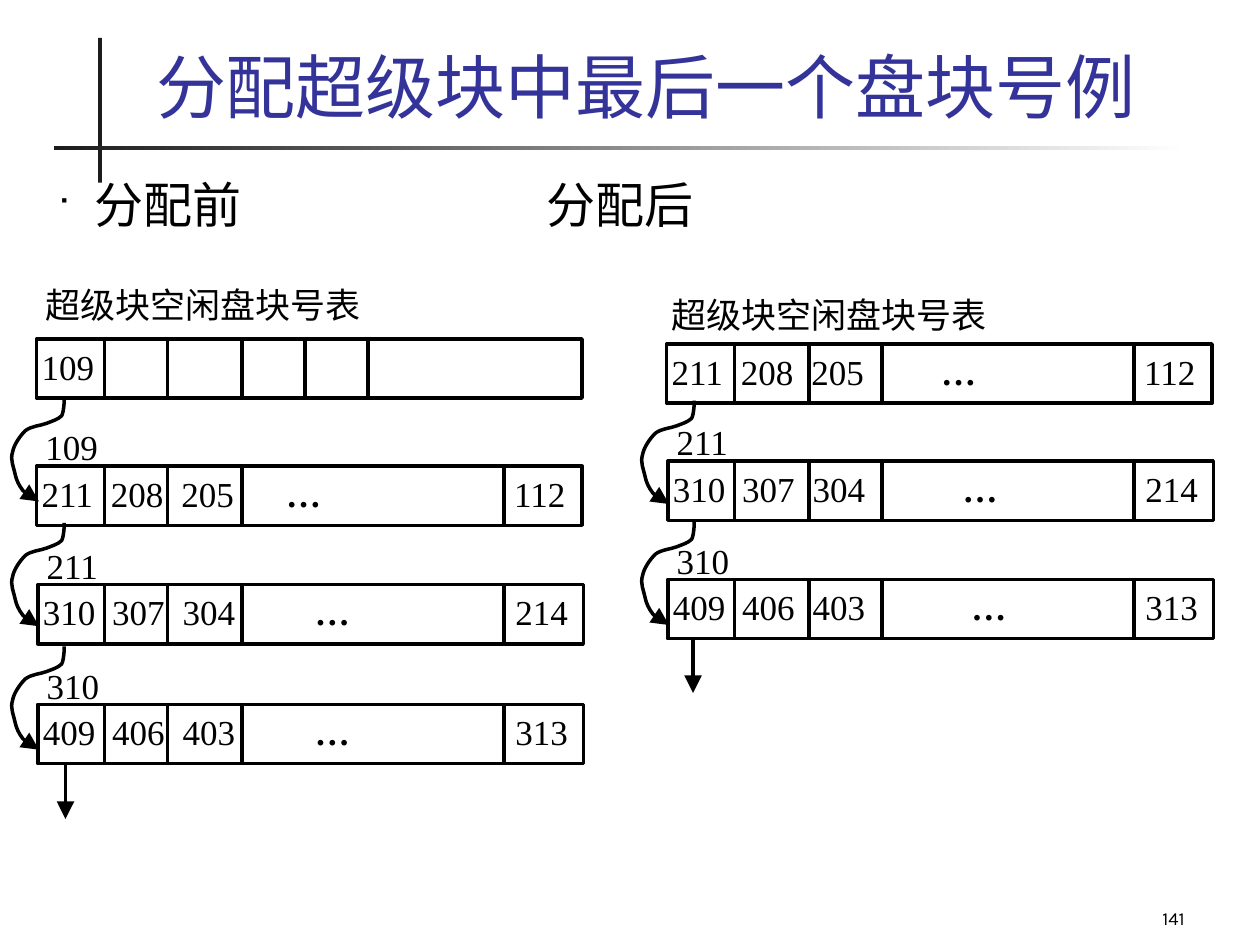
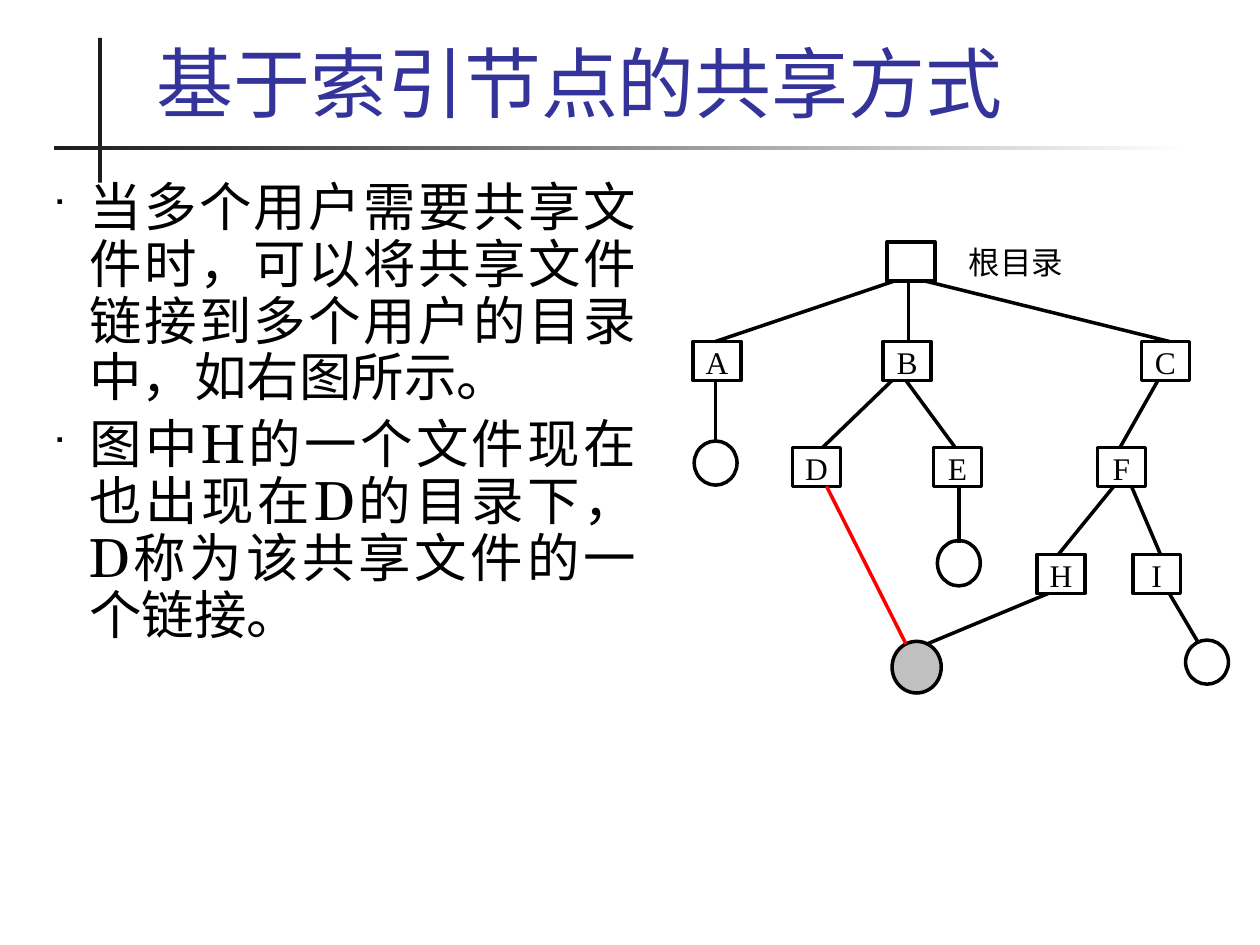
from lxml.etree import SubElement
from pptx import Presentation
from pptx.dml.color import RGBColor
from pptx.enum.shapes import MSO_CONNECTOR, MSO_SHAPE
from pptx.enum.text import MSO_ANCHOR, PP_ALIGN
from pptx.oxml.ns import qn
from pptx.util import Inches, Pt

# Shared style
BLACK, WHITE, DARK, BLUE, RED, GRAY = (
    "000000", "FFFFFF", "1C1C1C", "333399", "FF0000", "C0C0C0")
HEAD, SERIF, SANS = "TeX Gyre Schola", "Times New Roman", "Karla"
LEFT, MID, RIGHT, JUST = (
    PP_ALIGN.LEFT, PP_ALIGN.CENTER, PP_ALIGN.RIGHT, PP_ALIGN.JUSTIFY)
PAD = (0.1, 0.05)
NONE = (0, 0)

# Slide 1: free block chains before and after
ALLOC = "分配超级块中最后一个盘块号例"
TABLE = "超级块空闲盘块号表"
ROW_W, ROW_H = 4.33, 0.47
# Tab stops of the numbers in a row, measured from the row's text edge
STOPS = (0.55, 1.11, 3.75)
# A row: left, top, label above, numbers, place of the dots
CHAINS = [
    {"title": (0.36, 2.25), "cuts": (0.83, 1.33, 1.92, 4),
     "first": (0.83, 1.33, 1.92, 2.42, 2.92),
     "rows": [(0.29, 2.69, "", ["109"], 0),
              (0.29, 3.7, "109", ["211", "208", "205", "112"], 1.94),
              (0.3, 4.64, "211", ["310", "307", "304", "214"], 2.16),
              (0.3, 5.59, "310", ["409", "406", "403", "313"], 2.16)],
     "hooks": (0.08, [3.16, 4.15, 5.13]), "tail": (0.52, 6.06, 6.5)},
    {"title": (5.33, 2.33), "cuts": (5.83, 6.42, 7, 9),
     "first": (5.83, 6.42, 7, 9),
     "rows": [(5.29, 2.73, "", ["211", "208", "205", "112"], 2.14),
              (5.3, 3.66, "211", ["310", "307", "304", "214"], 2.3),
              (5.3, 4.6, "310", ["409", "406", "403", "313"], 2.37)],
     "hooks": (5.08, [3.18, 4.14]), "tail": (5.5, 5.07, 5.5)},
]
# Bezier knots of the hook between two rows
HOOK = [(0.43, 0),
        (0.43, 0.02), (0.43, 0.1), (0.41, 0.14),
        (0.38, 0.17), (0.34, 0.18), (0.29, 0.2),
        (0.24, 0.22), (0.17, 0.22), (0.12, 0.26),
        (0.08, 0.3), (0.03, 0.37), (0.02, 0.43),
        (0, 0.49), (0.03, 0.55), (0.04, 0.6),
        (0.05, 0.65), (0.07, 0.69), (0.1, 0.73),
        (0.13, 0.76), (0.2, 0.8), (0.23, 0.82)]

# Slide 2: shared file in a directory tree
SHARE = "基于索引节点的共享方式"
NOTES = ["当多个用户需要共享文件时，可以将共享文件链接到多个用户的目录中，如右图所示。",
         "图中H的一个文件现在也出现在D的目录下，D称为该共享文件的一个链接。"]
DIR_W, DIR_H = 0.38, 0.31
DIRS = {"": (7.04, 1.92), "A": (5.5, 2.71), "B": (7.01, 2.71),
        "C": (9.06, 2.71), "D": (6.29, 3.55), "E": (7.41, 3.55),
        "F": (8.71, 3.55), "H": (8.23, 4.4), "I": (8.99, 4.4)}
# A file: left, top, width, height, fill
FILES = {"a": (5.51, 3.5, 0.34, 0.35, WHITE),
         "e": (7.44, 4.29, 0.34, 0.36, WHITE),
         "h": (7.08, 5.09, 0.39, 0.41, GRAY),
         "i": (9.41, 5.08, 0.34, 0.35, WHITE)}
# A link: parent, child, offset from the left of each, colour
LINKS = [("", "A", 0.06, 0.18, BLACK), ("", "B", 0.17, 0.2, BLACK),
         ("", "C", 0.3, 0.22, BLACK), ("A", "a", 0.18, 0.17, BLACK),
         ("B", "D", 0.07, 0.24, BLACK), ("B", "E", 0.18, 0.17, BLACK),
         ("E", "e", 0.2, 0.17, BLACK), ("C", "F", 0.13, 0.18, BLACK),
         ("F", "H", 0.13, 0.17, BLACK), ("F", "I", 0.27, 0.22, BLACK),
         ("D", "h", 0.27, 0.11, RED), ("H", "h", 0.09, 0.28, BLACK),
         ("I", "i", 0.29, 0.1, BLACK)]


def color(code):
    return RGBColor.from_string(code)


def style(para, size, face=SERIF, code=BLACK, align=LEFT):
    para.alignment = align
    font = para.font
    font.size, font.name = Pt(size), face
    font.color.rgb = color(code)


def frame(shape, pad, anchor=MSO_ANCHOR.TOP):
    tf = shape.text_frame
    tf.word_wrap = True
    tf.vertical_anchor = anchor
    tf.margin_left = tf.margin_right = Inches(pad[0])
    tf.margin_top = tf.margin_bottom = Inches(pad[1])
    return tf


def text(slide, box, words, size, face=SERIF, code=BLACK, align=LEFT,
         pad=NONE, anchor=MSO_ANCHOR.TOP):
    tf = frame(slide.shapes.add_textbox(*map(Inches, box)), pad, anchor)
    para = tf.paragraphs[0]
    para.text = words
    style(para, size, face, code, align)
    return para


def bullets(slide, box, items, size, align=LEFT):
    tf = frame(slide.shapes.add_textbox(*map(Inches, box)), PAD)
    for i, item in enumerate(items):
        para = tf.add_paragraph() if i else tf.paragraphs[0]
        para.text = item
        prop = para._p.get_or_add_pPr()
        prop.set("marL", str(Inches(0.29)))
        prop.set("indent", str(Inches(-0.29)))
        tint = SubElement(prop, qn("a:buClr"))
        SubElement(tint, qn("a:srgbClr"), val=BLACK)
        SubElement(prop, qn("a:buSzPct"), val="60000")
        SubElement(prop, qn("a:buFont"), typeface="Wingdings")
        SubElement(prop, qn("a:buChar"), char="■")
        para.line_spacing = 0.9
        para.space_before = Pt(6 if i else 0)
        style(para, size, HEAD, BLACK, align)


def shape(slide, kind, box, fill, edge=True):
    part = slide.shapes.add_shape(kind, *map(Inches, box))
    part.shadow.inherit = False
    part.fill.solid()
    part.fill.fore_color.rgb = color(fill)
    if edge:
        pen(part)
    else:
        part.line.fill.background()
    return part


def pen(part, code=BLACK, arrow=False):
    part.line.color.rgb = color(code)
    part.line.width = Pt(2)
    if arrow:
        SubElement(part.line._get_or_add_ln(), qn("a:tailEnd"),
                   type="triangle", w="lg", len="lg")


def line(slide, x1, y1, x2, y2, code=BLACK, arrow=False):
    part = slide.shapes.add_connector(
        MSO_CONNECTOR.STRAIGHT, *map(Inches, (x1, y1, x2, y2)))
    pen(part, code, arrow)
    SubElement(part._element.spPr, qn("a:effectLst"))


def base(deck, title, size):
    slide = deck.slides.add_slide(deck.slide_layouts[6])
    # Crossed rules behind the title
    shape(slide, MSO_SHAPE.RECTANGLE, (0.78, 0.3, 0.03, 1.15), DARK, False)
    rule = shape(slide, MSO_SHAPE.RECTANGLE, (0.43, 1.16, 9, 0.03), DARK,
                 False)
    rule.fill.gradient()
    rule.fill.gradient_angle = 0
    for stop, code in zip(rule.fill.gradient_stops, (DARK, WHITE)):
        stop.color.rgb = color(code)
    text(slide, (1.14, 0.24, 8.59, 0.82), title, size, HEAD, BLUE,
         pad=PAD, anchor=MSO_ANCHOR.BOTTOM)
    return slide


def row(slide, x, y, label, nums, dots, cuts):
    box = shape(slide, MSO_SHAPE.RECTANGLE, (x, y, ROW_W, ROW_H), WHITE)
    para = frame(box, (0.04, 0.05)).paragraphs[0]
    if dots:
        tabs = SubElement(para._p.get_or_add_pPr(), qn("a:tabLst"))
        for stop in sorted((*STOPS, dots)):
            SubElement(tabs, qn("a:tab"), pos=str(Inches(stop)), algn="l")
        para.add_run().text = "\t".join(nums[:-1]) + "\t"
        mark = para.add_run()
        mark.text = "…"
        mark.font.bold = True
        para.add_run().text = "\t" + nums[-1]
    else:
        para.text = nums[0]
    style(para, 20)
    for cut in cuts:
        line(slide, cut, y, cut, y + ROW_H)
    if label:
        text(slide, (x + 0.07, y - 0.32, 0.45, 0.25), label, 20)


def hook(slide, x, y):
    knots = [(Inches(x + dx), Inches(y + dy)) for dx, dy in HOOK]
    draft = slide.shapes.build_freeform(*knots[0])
    draft.add_line_segments(knots[1:], close=False)
    part = draft.convert_to_shape()
    part.shadow.inherit = False
    part.fill.background()
    pen(part, arrow=True)
    # Turn every three straight steps into one Bezier curve
    track = part._element.spPr.find(".//" + qn("a:path"))
    steps = track.findall(qn("a:lnTo"))
    for k in range(0, len(steps), 3):
        curve = SubElement(track, qn("a:cubicBezTo"))
        for step in steps[k:k + 3]:
            curve.append(step[0])
            track.remove(step)


def alloc(deck):
    slide = base(deck, ALLOC, 40)
    bullets(slide, (0.36, 1.39, 3.5, 0.54), ["分配前"], 28)
    after = text(slide, (4.34, 1.39, 4.5, 0.54), "分配后", 28, HEAD,
                 pad=(0, 0.05))
    after.line_spacing = 0.9
    for chain in CHAINS:
        text(slide, (*chain["title"], 2.92, 0.3), TABLE, 20)
        for i, item in enumerate(chain["rows"]):
            row(slide, *item, chain["cuts" if i else "first"])
        x, tops = chain["hooks"]
        for y in tops:
            hook(slide, x, y)
        x, top, end = chain["tail"]
        line(slide, x, top, x, end, arrow=True)
    # Page number
    text(slide, (7.42, 6.92, 2.08, 0.5), "141", 10.5, SANS, align=RIGHT,
         pad=PAD, anchor=MSO_ANCHOR.BOTTOM)


def share(deck):
    slide = base(deck, SHARE, 44)
    bullets(slide, (0.32, 1.39, 4.83, 4.83), NOTES, 30, JUST)
    # Directories and files
    for name, (x, y) in DIRS.items():
        box = shape(slide, MSO_SHAPE.RECTANGLE, (x, y, DIR_W, DIR_H), WHITE)
        if name:
            para = frame(box, (0.08, 0.01)).paragraphs[0]
            para.text = name
            style(para, 18, align=MID)
    text(slide, (7.61, 1.92, 0.97, 0.35), "根目录", 18, pad=(0.08, 0.01))
    for *box, fill in FILES.values():
        shape(slide, MSO_SHAPE.OVAL, box, fill)
    # Links run from the foot of the parent to the head of the child
    for top, low, dx, ex, code in LINKS:
        x1, y1 = DIRS[top]
        x2, y2 = DIRS[low] if low in DIRS else FILES[low][:2]
        dip = 0.02 if low in FILES else 0
        line(slide, x1 + dx, y1 + DIR_H, x2 + ex, y2 + dip, code)


def main():
    deck = Presentation()
    deck.slide_width, deck.slide_height = Inches(10), Inches(7.5)
    alloc(deck)
    share(deck)
    deck.save("out.pptx")


if __name__ == "__main__":
    main()
